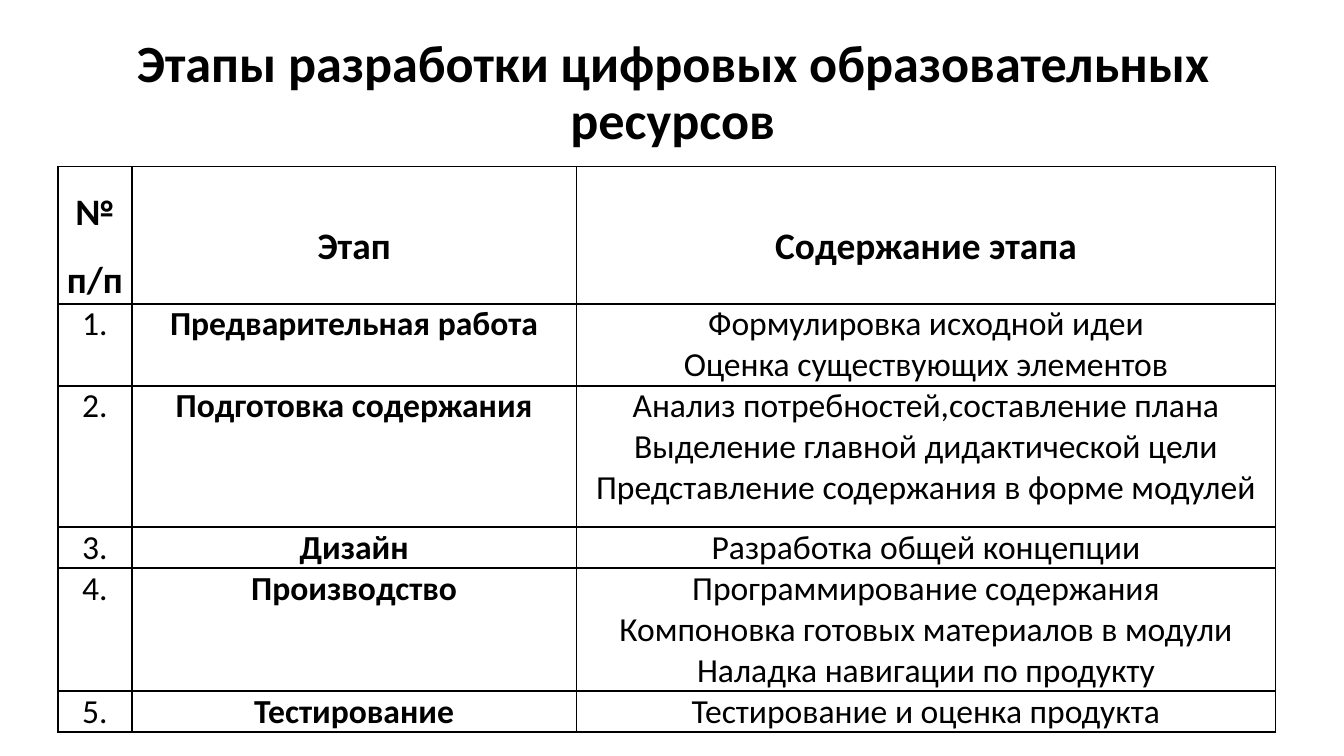
"""Build a slide with a table of the stages of developing digital learning resources."""
import pptx
import pptx.dml.color
import pptx.enum.text
import pptx.oxml
import pptx.oxml.ns
import pptx.util

Pt = pptx.util.Pt
BLACK = pptx.dml.color.RGBColor(0, 0, 0)
FONT = "Calibri"
CENTER = pptx.enum.text.PP_ALIGN.CENTER
MIDDLE = pptx.enum.text.MSO_ANCHOR.MIDDLE
TOP = pptx.enum.text.MSO_ANCHOR.TOP

COLUMN_WIDTHS = [39.6, 238.3, 374.4]
ROW_HEIGHTS = [68.4, 43.2, 75.6, 21.6, 64.8, 21.6]
HEADER = ["№ п/п", "Этап", "Содержание этапа"]
STAGES = [
    ("Предварительная работа", "Формулировка исходной идеи\nОценка существующих элементов"),
    ("Подготовка содержания", "Анализ потребностей,cоставление плана\n"
     "Выделение главной дидактической цели\nПредставление содержания в форме модулей"),
    ("Дизайн", "Разработка общей концепции"),
    ("Производство", "Программирование содержания\n"
     "Компоновка готовых материалов в модули\nНаладка навигации по продукту"),
    ("Тестирование", "Тестирование и оценка продукта"),
]


def format_text(frame, size, bold, spacing):
    for para in frame.paragraphs:
        para.alignment = CENTER
        para.line_spacing = spacing
        for span in para.runs:
            span.font.name = FONT
            span.font.size = Pt(size)
            span.font.bold = bold
            span.font.color.rgb = BLACK


def add_borders(cell):
    properties = cell._tc.get_or_add_tcPr()
    for position, side in enumerate(["lnL", "lnR", "lnT", "lnB"]):
        border = pptx.oxml.parse_xml(
            f'<a:{side} {pptx.oxml.ns.nsdecls("a")} w="{Pt(1)}"><a:solidFill>'
            f'<a:srgbClr val="{BLACK}"/></a:solidFill></a:{side}>')
        properties.insert(position, border)


deck = pptx.Presentation()
deck.slide_width = Pt(720)
deck.slide_height = Pt(405)
page = deck.slides.add_slide(deck.slide_layouts[5])

title = page.shapes.title
title.left, title.top, title.width, title.height = Pt(20.2), Pt(16.6), Pt(680.4), Pt(67.7)
title.text_frame.text = "Этапы разработки цифровых образовательных ресурсов"
title.text_frame.vertical_anchor = MIDDLE
title.text_frame.margin_left = title.text_frame.margin_right = Pt(5)
title.text_frame.margin_top = title.text_frame.margin_bottom = Pt(2.9)
format_text(title.text_frame, 28, True, 0.9)

rows = [HEADER] + [(f"{number}.", *stage) for number, stage in enumerate(STAGES, 1)]
table = page.shapes.add_table(len(rows), len(HEADER), Pt(31), Pt(89.3),
                              Pt(sum(COLUMN_WIDTHS)), Pt(sum(ROW_HEIGHTS))).table
table.horz_banding = False
for column, width in zip(table.columns, COLUMN_WIDTHS):
    column.width = Pt(width)
for row, height in zip(table.rows, ROW_HEIGHTS):
    row.height = Pt(height)

for row_index, texts in enumerate(rows):
    is_header = row_index == 0
    for column_index, text in enumerate(texts):
        cell = table.cell(row_index, column_index)
        cell.text_frame.text = text
        cell.margin_left = cell.margin_right = Pt(4.3)
        cell.margin_top = cell.margin_bottom = Pt(0)
        cell.vertical_anchor = MIDDLE if is_header else TOP
        cell.fill.background()
        add_borders(cell)
        format_text(cell.text_frame, 20 if is_header else 18,
                    is_header or column_index == 1, 1.5 if is_header else 1.0)

deck.save("out.pptx")
